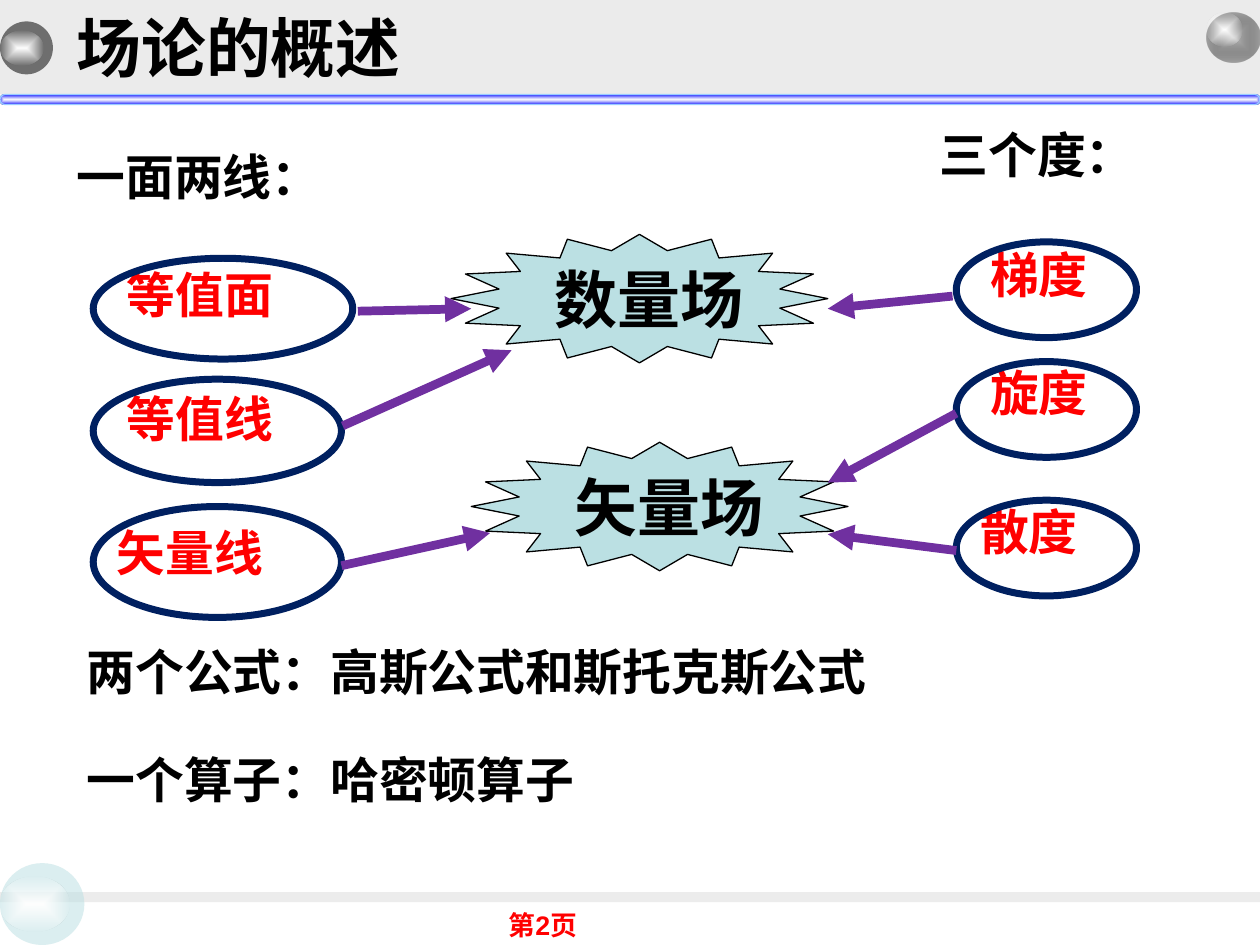
from collections import namedtuple
from pptx import Presentation
from pptx.dml.color import RGBColor
from pptx.enum.shapes import MSO_CONNECTOR, MSO_SHAPE
from pptx.enum.text import MSO_ANCHOR, MSO_AUTO_SIZE, PP_ALIGN
from pptx.oxml import parse_xml
from pptx.oxml.ns import nsdecls, qn
from pptx.oxml.xmlchemy import OxmlElement
from pptx.util import Inches, Pt

Box = namedtuple("Box", "x y w h")
CJK = "Noto Sans CJK SC"
COLUMNS, ROWS = 100, 75

prs = Presentation()
prs.slide_width, prs.slide_height = Inches(10), Inches(7.5)
COL, ROW = prs.slide_width / COLUMNS, prs.slide_height / ROWS


def rgb(value):
    return RGBColor.from_string(value)


def emu(box):
    return [round(n * unit) for n, unit in zip(box, (COL, ROW, COL, ROW))]


def inside(box, x, y, w, h):
    return Box(box.x + x, box.y + y, w, h)


def share(box, x, y, w, h):
    return inside(box, x * box.w, y * box.h, w * box.w, h * box.h)


def stop_xml(color, opacity):
    return f'<a:srgbClr val="{color}"><a:alpha val="{opacity * 1000}"/></a:srgbClr>'


def fill_xml(stops):
    if len(stops) == 1:
        return f'<a:solidFill {nsdecls("a")}>{stop_xml(*stops[0])}</a:solidFill>'
    marks = "".join(f'<a:gs pos="{i * 100000}">{stop_xml(*stop)}</a:gs>'
                    for i, stop in enumerate(stops))
    return (f'<a:gradFill {nsdecls("a")} rotWithShape="1"><a:gsLst>{marks}</a:gsLst>'
            '<a:path path="rect"><a:fillToRect l="50000" t="50000" r="50000" b="50000"/>'
            '</a:path></a:gradFill>')


def add_shape(s, kind, box, stops=(), line=None, width=0.75):
    sp = s.shapes.add_shape(kind, *emu(box))
    sp.shadow.inherit = False
    sp.fill.background()
    if stops:
        blank = sp.element.spPr.find(qn("a:noFill"))
        blank.getparent().replace(blank, parse_xml(fill_xml(stops)))
    if line:
        sp.line.color.rgb = rgb(line)
        sp.line.width = Pt(width)
    else:
        sp.line.fill.background()
    return sp


def write(sp, text, size=27.9, color="000000", font="Arial", spacing=None,
          hanging=False, align=PP_ALIGN.LEFT, wrap=True):
    tf = sp.text_frame
    tf.word_wrap = wrap
    tf.auto_size = MSO_AUTO_SIZE.NONE
    tf.vertical_anchor = MSO_ANCHOR.TOP
    tf.margin_left = tf.margin_right = Inches(0.1)
    tf.margin_top = tf.margin_bottom = Inches(0.05)
    p = tf.paragraphs[0]
    p.alignment = align
    p.space_before = Pt(0)
    if spacing:
        p.line_spacing = spacing
    if hanging:
        pPr = p._p.get_or_add_pPr()
        pPr.set("marL", str(Inches(0.38)))
        pPr.set("indent", str(-Inches(0.38)))
    r = p.add_run()
    r.text = text
    r.font.size, r.font.bold, r.font.name = Pt(size), True, font
    r.font.color.rgb = rgb(color)
    ea = OxmlElement("a:ea")
    ea.set("typeface", CJK)
    r.font._element.append(ea)


def add_text(s, box, text, **style):
    write(s.shapes.add_textbox(*emu(box)), text, **style)


def add_line_text(s, box, text, **style):
    add_text(s, box, text, spacing=0.7, hanging=True, **style)


def add_arrow(s, start, end):
    x1, y1, x2, y2 = emu(start + end)
    line = s.shapes.add_connector(MSO_CONNECTOR.STRAIGHT, x1, y1, x2, y2)
    line.line.color.rgb = rgb("7030A0")
    line.line.width = Pt(5)
    tail = OxmlElement("a:tailEnd")
    tail.set("type", "triangle")
    line.line._get_or_add_ln().append(tail)
    line.element.spPr.append(OxmlElement("a:effectLst"))


def add_ball(s, box, stops, glow):
    add_shape(s, MSO_SHAPE.OVAL, box, stops)
    add_shape(s, MSO_SHAPE.OVAL, share(box, *glow), [("FFFFFF", 100), ("FFFFFF", 0)])


def add_header(s, box, text):
    add_shape(s, MSO_SHAPE.RECTANGLE, inside(box, 0, 0, box.w, 7.5), [("DDDDDD", 59)])
    add_ball(s, inside(box, 95.8, 1, 4.2, 4),
             [("BEBEBE", 100), ("000000", 31)], (0, 0, 0.67, 0.67))
    add_ball(s, inside(box, 0, 1.7, 4.2, 4.2), [("000000", 53)], (0, 0.17, 0.83, 0.66))
    rule = add_shape(s, MSO_SHAPE.ROUNDED_RECTANGLE, inside(box, 0, 7.5, box.w, 0.8),
                     [("FFFFFF", 74), ("0000FF", 100)], "99CCFF")
    rule.adjustments[0] = 0.5
    title = s.shapes.title
    title.left, title.top, title.width, title.height = emu(inside(box, 5.1, 1.3, 33.1, 6.3))
    write(title, text, size=37, spacing=0.8, hanging=True)
    title.element.getparent().append(title.element)


def add_footer(s, box, text):
    add_shape(s, MSO_SHAPE.RECTANGLE, inside(box, 0, 2.3, box.w, 0.8), [("DDDDDD", 55)])
    add_ball(s, inside(box, 0, 0, 6.7, 6.5), [("BBE0E3", 53)], (0, 0.17, 0.83, 0.66))
    add_text(s, inside(box, 23.5, 3.1, 23.3, 3.6), text, size=15.3, color="FF0000",
             align=PP_ALIGN.RIGHT)


def add_field(s, box, text):
    star = add_shape(s, MSO_SHAPE.STAR_16_POINT, box, [("BBE0E3", 100)], "000000")
    star.adjustments[0] = 0.38
    add_text(s, inside(box, 7.2, 1.6, 17, 7), text, size=36, wrap=False)


def add_node(s, box, text, dx, dy):
    add_line_text(s, inside(box, dx, dy, box.w, 4.7), text, color="FF0000", font=CJK)
    add_shape(s, MSO_SHAPE.OVAL, box, line="002060", width=4)


def add_column(s, box, nodes):
    for text, y, w, h, dx, dy in nodes:
        add_node(s, inside(box, 0, y, w, h), text, dx, dy)


def add_diagram(s, box):
    add_line_text(s, inside(box, 5.1, 1.7, 24.4, 4.7), "一面两线：")
    add_line_text(s, inside(box, 73.6, 0, 24.4, 4.7), "三个度：")
    add_field(s, inside(box, 35.8, 7.9, 29.9, 10.2), "数量场")
    add_field(s, inside(box, 37.4, 24.4, 29.9, 10.2), "矢量场")
    add_column(s, inside(box, 7.4, 9.8, 20.6, 28.5), [
        ("等值面", 0, 20.6, 8, 1.7, 1.3),
        ("等值线", 9.6, 19.7, 8.2, 1.7, 1.5),
        ("矢量线", 19.7, 19.7, 8.8, 0.9, 2.1)])
    add_column(s, inside(box, 75.9, 8.5, 14.3, 28.1), [
        ("梯度", 0, 14.3, 7.6, 1.7, 1),
        ("旋度", 9.5, 14.3, 7.6, 1.7, 0.9),
        ("散度", 20.5, 14.3, 7.6, 0.9, 0.9)])
    for x1, y1, x2, y2 in [
            (28.4, 14, 37.4, 13.8), (27.2, 23.1, 40.6, 17.1), (27.1, 34.2, 38.9, 31.6),
            (75.6, 12.8, 65.7, 13.8), (75.9, 22.1, 65.7, 27.6), (75.9, 33, 65.7, 31.7)]:
        add_arrow(s, (box.x + x1, box.y + y1), (box.x + x2, box.y + y2))


def add_summary(s, box, lines):
    for i, text in enumerate(lines):
        add_line_text(s, inside(box, 0, i * 8.6, box.w, 4.7), text)


def main():
    s = prs.slides.add_slide(prs.slide_layouts[5])
    add_header(s, Box(0, 0, COLUMNS, 8.3), "场论的概述")
    add_diagram(s, Box(0, 10.7, COLUMNS, 38.3))
    add_summary(s, Box(5.9, 51.7, 89, 13.3),
                ["两个公式：高斯公式和斯托克斯公式", "一个算子：哈密顿算子"])
    add_footer(s, Box(0, 68.5, COLUMNS, 6.5), "第2页")
    prs.save("out.pptx")


if __name__ == "__main__":
    main()
